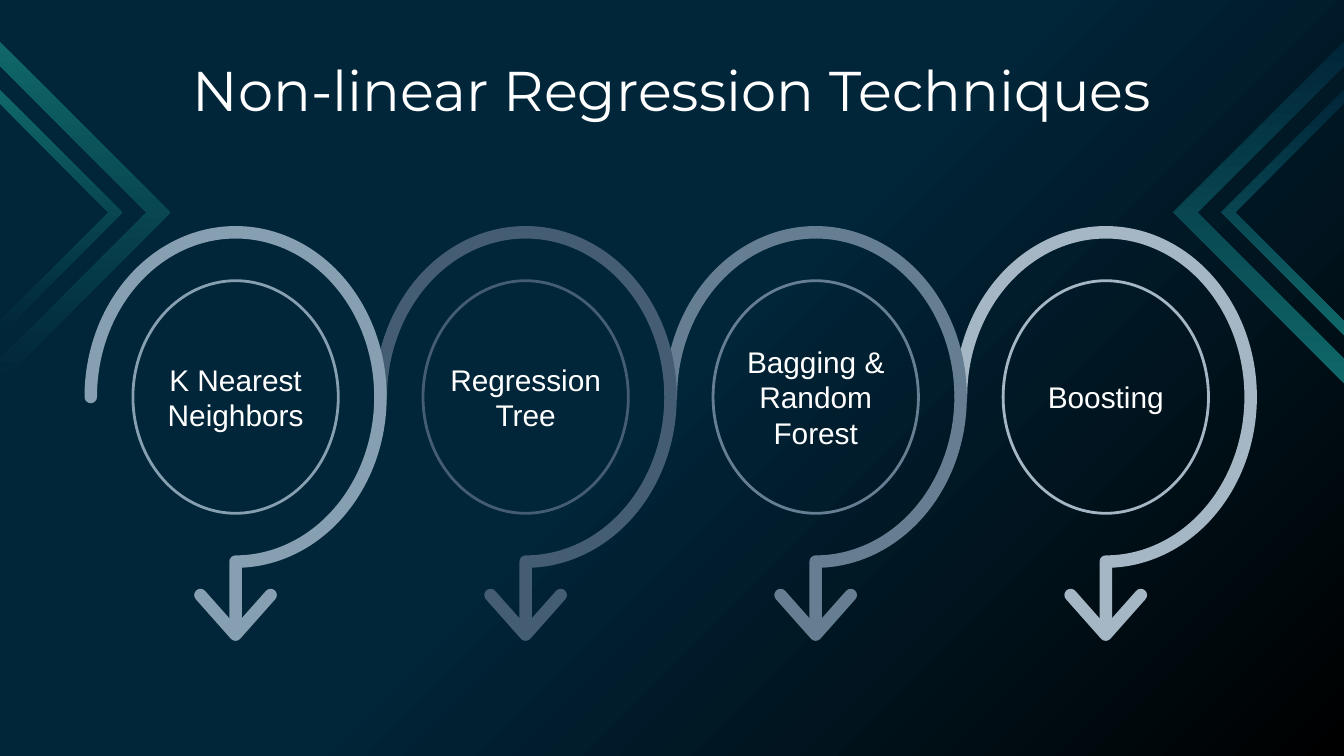
import copy

import lxml.etree
import pptx
import pptx.dml.color
import pptx.enum.text
import pptx.oxml.ns
import pptx.util

Pt = pptx.util.Pt
COLORS = {
    "navy": "012539",
    "black": "000000",
    "teal": "0F6768",
    "white": "FFFFFF",
    "mist": "869FB1",
    "slate": "445D73",
    "steel": "667E92",
    "silver": "A5B7C5",
}
TECHNIQUES = [
    (["K Nearest Neighbors"], "mist"),
    (["Regression Tree"], "slate"),
    (["Bagging &", "Random Forest"], "steel"),
    (["Boosting"], "silver"),
]
SLIDE_WIDTH, SLIDE_HEIGHT = 720, 405
FIRST_CENTER, PITCH, CENTER_Y = 126.2, 155.4, 212.7
TITLE_FONT = {"name": "Montserrat", "size": Pt(30)}
LABEL_FONT = {"name": "Arial", "size": Pt(16)}


def rgb(name):
    return pptx.dml.color.RGBColor.from_string(COLORS[name])


class SlideBuilder:
    def __init__(self, slide):
        self.slide = slide
        self.frame_format = {
            "word_wrap": True,
            "vertical_anchor": pptx.enum.text.MSO_ANCHOR.MIDDLE,
            **{f"margin_{side}": Pt(7.2) for side in ("left", "top", "right", "bottom")},
        }

    def gradient(self, owner, fill, stops, angle):
        fill.gradient()
        fill.gradient_angle = angle
        stop_list = owner.element.xpath(".//a:gsLst")[0]
        while len(stop_list) < len(stops):
            stop_list.append(copy.deepcopy(stop_list[-1]))
        for stop, (position, color) in zip(fill.gradient_stops, stops):
            stop.position = position
            stop.color.rgb = rgb(color)

    def outline(self, points, close):
        corners = [(Pt(x), Pt(y)) for x, y in points]
        builder = self.slide.shapes.build_freeform(*corners[0])
        builder.add_line_segments(corners[1:], close=close)
        shape = builder.convert_to_shape()
        shape.shadow.inherit = False
        shape.fill.background()
        shape.line.fill.background()
        return shape

    def stroke(self, shape, color, width):
        shape.line.color.rgb = rgb(color)
        shape.line.width = Pt(width)
        line = shape.element.xpath(".//a:ln")[0]
        line.set("cap", "rnd")
        lxml.etree.SubElement(line, pptx.oxml.ns.qn("a:round"))

    def round_quarters(self, shape, radius_x, radius_y, count):
        for index, segment in enumerate(shape.element.xpath(".//a:lnTo")[:count]):
            curve = lxml.etree.Element(pptx.oxml.ns.qn("a:arcTo"))
            start = (180 + 90 * index) % 360
            for name, value in {
                "wR": Pt(radius_x),
                "hR": Pt(radius_y),
                "stAng": start * 60000,
                "swAng": 90 * 60000,
            }.items():
                curve.set(name, str(int(value)))
            segment.getparent().replace(segment, curve)

    def chevron(self, edge, direction, reach, thickness, stops):
        middle, inner = 113.8, reach - thickness
        profile = [(0, -reach), (reach, 0), (0, reach), (0, inner), (inner, 0), (0, -inner)]
        shape = self.outline([(edge + direction * x, middle + y) for x, y in profile], True)
        self.gradient(shape, shape.fill, stops, 270)

    def text(self, shape, lines, font_format, **frame_changes):
        frame = shape.text_frame
        for name, value in {**self.frame_format, **frame_changes}.items():
            setattr(frame, name, value)
        for index, line in enumerate(lines):
            paragraph = frame.add_paragraph() if index else frame.paragraphs[0]
            paragraph.text = line
            paragraph.alignment = pptx.enum.text.PP_ALIGN.CENTER
            for name, value in font_format.items():
                setattr(paragraph.font, name, value)
            paragraph.font.color.rgb = rgb("white")

    def title(self, line):
        shape = self.slide.shapes.add_textbox(Pt(93.6), Pt(22.3), Pt(532.8), Pt(74.2))
        self.text(shape, [line], TITLE_FONT, vertical_anchor=pptx.enum.text.MSO_ANCHOR.TOP)

    def compass(self, center, radius_x, radius_y):
        return [
            (center - radius_x, CENTER_Y),
            (center, CENTER_Y - radius_y),
            (center + radius_x, CENTER_Y),
            (center, CENTER_Y + radius_y),
        ]

    def circle(self, center, lines, color):
        points = self.compass(center, 55, 62.3)
        shape = self.outline(points + points[:1], True)
        self.round_quarters(shape, 55, 62.3, 4)
        self.stroke(shape, color, 1.5)
        self.text(shape, lines, LABEL_FONT)

    def loop(self, center, color):
        points = self.compass(center, 77.6, 88.2) + [(center, 335.5)]
        shape = self.outline(points, False)
        self.round_quarters(shape, 77.6, 88.2, 3)
        self.stroke(shape, color, 6.7)

    def arrowhead(self, center, color):
        points = [(center - 18.8, 318.8), (center, 340), (center + 18.8, 318.8)]
        self.stroke(self.outline(points, False), color, 6.7)


def main():
    presentation = pptx.Presentation()
    presentation.slide_width = Pt(SLIDE_WIDTH)
    presentation.slide_height = Pt(SLIDE_HEIGHT)
    slide = presentation.slides.add_slide(presentation.slide_layouts[6])
    builder = SlideBuilder(slide)
    backdrop = [(0, "navy"), (0.5, "navy"), (1, "black")]
    builder.gradient(slide, slide.background.fill, backdrop, 315)

    for edge, direction, top, bottom in (
        (0, 1, "teal", "navy"),
        (SLIDE_WIDTH, -1, "navy", "teal"),
    ):
        for reach, thickness in ((91.4, 12.9), (65.7, 7.4)):
            builder.chevron(edge, direction, reach, thickness, [(0, top), (1, bottom)])

    builder.title("Non-linear Regression Techniques")
    for index, (lines, color) in reversed(list(enumerate(TECHNIQUES))):
        center = FIRST_CENTER + index * PITCH
        builder.circle(center, lines, color)
        builder.loop(center, color)
        builder.arrowhead(center, color)
    presentation.save("out.pptx")


if __name__ == "__main__":
    main()
